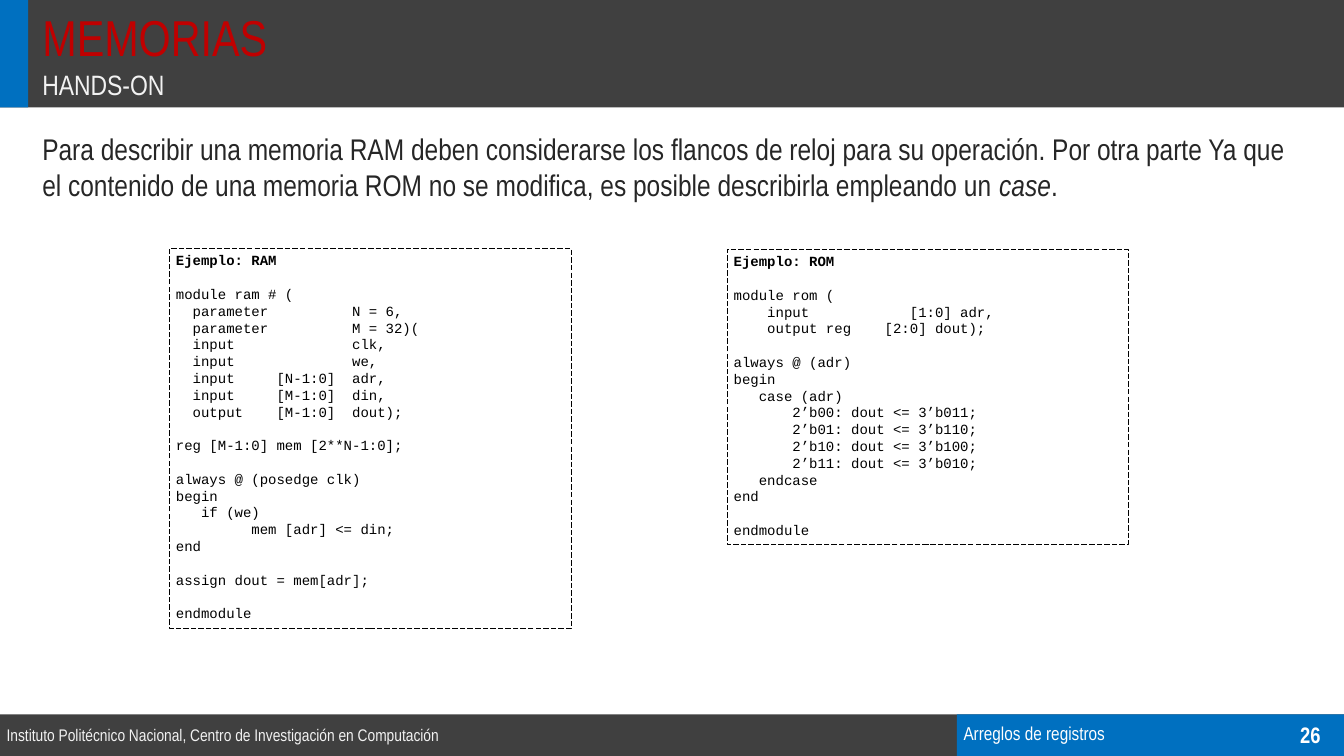
from pptx import Presentation
from pptx.dml.color import RGBColor
from pptx.enum.dml import MSO_LINE
from pptx.enum.shapes import MSO_SHAPE
from pptx.enum.text import MSO_ANCHOR, MSO_AUTO_SIZE, PP_ALIGN
from pptx.util import Pt

WIDE, HIGH = 1440, 810
FOOT = 765.4
SPLIT = 1025.3
SANS, MONO = "Arial Narrow", "Courier New"
COLORS = {
    "dark": "404040", "blue": "0070C0", "red": "C00000", "pale": "F2F2F2",
    "text": "262626", "white": "FFFFFF", "black": "000000",
}

RAM = """Ejemplo: RAM

module ram # (
  parameter          N = 6,
  parameter          M = 32)(
  input              clk,
  input              we,
  input     [N-1:0]  adr,
  input     [M-1:0]  din,
  output    [M-1:0]  dout);

reg [M-1:0] mem [2**N-1:0];

always @ (posedge clk)
begin
   if (we)
         mem [adr] <= din;
end

assign dout = mem[adr];

endmodule"""

ROM = """Ejemplo: ROM

module rom (
    input            [1:0] adr,
    output reg    [2:0] dout);

always @ (adr)
begin
   case (adr)
       2’b00: dout <= 3’b011;
       2’b01: dout <= 3’b110;
       2’b10: dout <= 3’b100;
       2’b11: dout <= 3’b010;
   endcase
end

endmodule"""


def paint(name):
    return RGBColor.from_string(COLORS[name])


def put(item, values):
    for key, value in values.items():
        setattr(item, key, value)


def place(shape, box):
    put(shape, dict(zip(("left", "top", "width", "height"), map(Pt, box))))


def style(font, color, **values):
    put(font, values)
    font.color.rgb = paint(color)


def setup(frame, anchor=MSO_ANCHOR.TOP):
    put(frame, {
        "word_wrap": True, "auto_size": MSO_AUTO_SIZE.NONE,
        "vertical_anchor": anchor,
        "margin_left": Pt(7.2), "margin_right": Pt(7.2),
        "margin_top": Pt(3.6), "margin_bottom": Pt(3.6),
    })


def fill(par, runs, size, color, face=SANS, bold=False, space=None,
         align=PP_ALIGN.LEFT):
    """Write (text, italic) runs into one paragraph."""
    put(par, {"alignment": align, "line_spacing": space,
              "space_before": Pt(0), "space_after": Pt(0)})
    for text, slant in runs:
        run = par.add_run()
        run.text = text
        style(run.font, color, name=face, size=Pt(size), bold=bold,
              italic=slant)


def add_bar(slide, box, color):
    bar = slide.shapes.add_shape(MSO_SHAPE.RECTANGLE, *map(Pt, box))
    bar.shadow.inherit = False
    bar.fill.solid()
    bar.fill.fore_color.rgb = paint(color)
    bar.line.fill.background()


def add_text(slide, box, runs, size, color, anchor=MSO_ANCHOR.TOP, **form):
    frame = slide.shapes.add_textbox(*map(Pt, box)).text_frame
    setup(frame, anchor)
    fill(frame.paragraphs[0], runs, size, color, **form)


def add_title(slide, box, text):
    title = slide.shapes.title
    slide.shapes._spTree.append(title._element)  # bring above the bars
    place(title, box)
    setup(title.text_frame)
    fill(title.text_frame.paragraphs[0], [(text, False)], 54, "red",
         space=0.9)


def add_code(slide, box, code):
    """Dashed frame whose first line is a bold heading."""
    shape = slide.shapes.add_shape(MSO_SHAPE.RECTANGLE, *map(Pt, box))
    shape.shadow.inherit = False
    shape.fill.background()
    shape.line.color.rgb = paint("black")
    put(shape.line, {"width": Pt(0.75), "dash_style": MSO_LINE.LONG_DASH})
    frame = shape.text_frame
    setup(frame)
    for row, line in enumerate(code.split("\n")):
        par = frame.add_paragraph() if row else frame.paragraphs[0]
        style(par.font, "black", name=MONO, size=Pt(15))
        fill(par, [(line, False)] if line else [], 15, "black", MONO,
             row == 0, Pt(18))


def main():
    deck = Presentation()
    put(deck, {"slide_width": Pt(WIDE), "slide_height": Pt(HIGH)})
    slide = deck.slides.add_slide(deck.slide_layouts[5])

    # Header and footer bars
    for box, color in (
        ((0, FOOT, WIDE, HIGH - FOOT), "dark"),
        ((SPLIT, FOOT, WIDE - SPLIT, HIGH - FOOT), "blue"),
        ((0, 0, WIDE, 115.2), "dark"),
        ((0, 0, 30.2, 115.2), "blue"),
    ):
        add_bar(slide, box, color)

    # Headings and body
    add_title(slide, (38.2, 10.1, 987, 60.5), "MEMORIAS")
    add_text(slide, (38.2, 72.7, 987, 35.3), [("HANDS-ON", False)],
             30, "pale", space=0.9)
    add_text(slide, (38.2, 136.8, 1372.3, 95.8), [
        ("Para describir una memoria RAM deben considerarse los flancos de "
         "reloj para su operación. Por otra parte Ya que el contenido de una "
         "memoria ROM no se modifica, es posible describirla empleando un ",
         False),
        ("case", True), (".", False)], 32, "text")

    # Code examples
    add_code(slide, (779, 267.1, 430, 316.1), ROM)
    add_code(slide, (181.4, 266.4, 430.6, 406.8), RAM)

    # Footer texts
    middle = MSO_ANCHOR.MIDDLE
    add_text(slide, (0, FOOT, 648.7, 43.2), [(
        "Instituto Politécnico Nacional, Centro de Investigación en "
        "Computación", False)], 18, "pale", middle)
    add_text(slide, (SPLIT, FOOT, 342.7, 43.2),
             [("Arreglos de registros", False)], 20, "white", middle,
             space=0.9)
    add_text(slide, (1368, FOOT, 72, 43.2), [("26", False)], 24, "white",
             middle, bold=True, align=PP_ALIGN.CENTER)

    deck.save("out.pptx")


if __name__ == "__main__":
    main()
